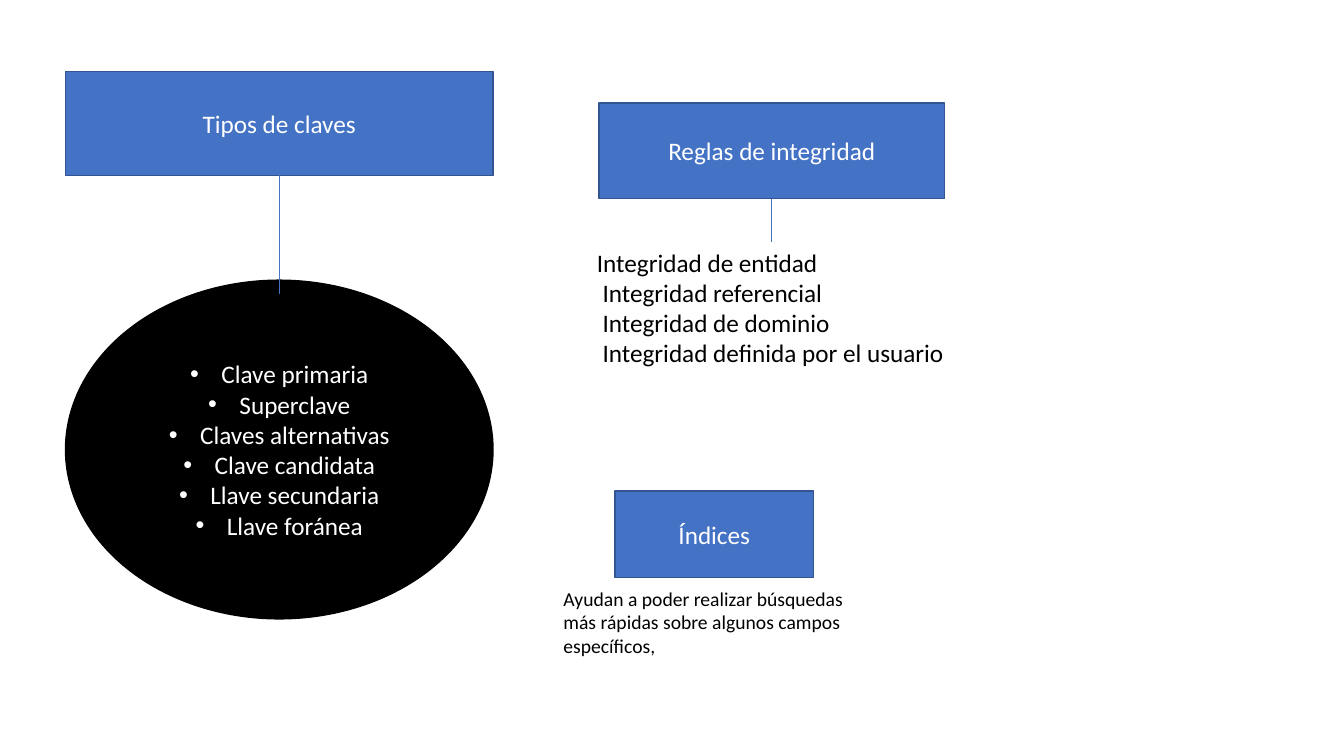
from dataclasses import dataclass

from lxml.etree import SubElement
from pptx import Presentation
from pptx.dml.color import RGBColor
from pptx.enum.shapes import MSO_CONNECTOR, MSO_SHAPE
from pptx.enum.text import MSO_ANCHOR, MSO_AUTO_SIZE, PP_ALIGN
from pptx.oxml.ns import qn
from pptx.util import Pt

PX = 9144  # EMU per px, 100 px to the inch
TOP, BOTTOM = 0, 2


@dataclass(frozen=True)
class Theme:
    font: str = "Calibri"
    blue: RGBColor = RGBColor(0x44, 0x72, 0xC4)
    edge: RGBColor = RGBColor(0x32, 0x54, 0x91)
    black: RGBColor = RGBColor(0, 0, 0)
    white: RGBColor = RGBColor(255, 255, 255)
    main: int = 18
    note: int = 14


THEME = Theme()

KEYS = ["Clave primaria", "Superclave", "Claves alternativas",
        "Clave candidata", "Llave secundaria", "Llave foránea"]
RULES = ["Integridad de entidad", " Integridad referencial",
         " Integridad de dominio", " Integridad definida por el usuario"]
NOTE = ("Ayudan a poder realizar búsquedas más rápidas "
        "sobre algunos campos específicos,")


def emu(*sizes):
    return [size * PX for size in sizes]


def write(shape, lines, color, size=THEME.main, align=PP_ALIGN.LEFT):
    frame = shape.text_frame
    frame.text = "\n".join(lines)
    frame.word_wrap = True
    for para in frame.paragraphs:
        para.alignment = align
        for run in para.runs:
            run.font.name = THEME.font
            run.font.size = Pt(size)
            run.font.color.rgb = color


def bullet(para, mark=None, indent=0):
    """Give the paragraph a hanging bullet, or none if there is no mark."""
    props = para._p.get_or_add_pPr()
    props.set("marL", str(indent * PX))
    props.set("indent", str(-indent * PX))
    if mark:
        SubElement(props, qn("a:buFont")).set("typeface", "Arial")
        SubElement(props, qn("a:buChar")).set("char", mark)
    else:
        SubElement(props, qn("a:buNone"))


def add_node(slide, kind, box, lines, fill, edge):
    node = slide.shapes.add_shape(kind, *emu(*box))
    node.shadow.inherit = False
    node.fill.solid()
    node.fill.fore_color.rgb = fill
    node.line.color.rgb = edge
    node.line.width = Pt(1)
    node.text_frame.vertical_anchor = MSO_ANCHOR.MIDDLE
    write(node, lines, THEME.white, align=PP_ALIGN.CENTER)
    return node


def add_head(slide, box, text):
    return add_node(slide, MSO_SHAPE.RECTANGLE, box, [text],
                    THEME.blue, THEME.edge)


def add_keys(slide, box):
    oval = add_node(slide, MSO_SHAPE.OVAL, box, KEYS,
                    THEME.black, THEME.black)
    for para in oval.text_frame.paragraphs:
        bullet(para, "•", 31)


def fill_body(body, box, lines):
    body.left, body.top, body.width, body.height = emu(*box)
    write(body, lines, THEME.black)
    body.text_frame.auto_size = MSO_AUTO_SIZE.NONE
    body.text_frame.vertical_anchor = MSO_ANCHOR.TOP
    for para in body.text_frame.paragraphs:
        para.space_before = Pt(0)
        para.line_spacing = 1.0
        bullet(para)


def add_note(slide, box, text):
    note = slide.shapes.add_textbox(*emu(*box))
    write(note, [text], THEME.black, THEME.note)


def add_link(slide, start, stop):
    link = slide.shapes.add_connector(MSO_CONNECTOR.STRAIGHT,
                                      *emu(*start, *stop))
    link.line.color.rgb = THEME.blue
    link.line.width = Pt(0.5)
    SubElement(link._element.spPr, qn("a:effectLst"))
    return link


def main():
    deck = Presentation()
    deck.slide_width, deck.slide_height = emu(1333, 750)
    slide = deck.slides.add_slide(deck.slide_layouts[1])
    title = slide.shapes.title._element
    title.getparent().remove(title)
    body = slide.placeholders[1]

    types = add_head(slide, (65, 71, 424, 103), "Tipos de claves")
    add_keys(slide, (65, 278, 424, 336))
    link = add_link(slide, (277, 174), (277, 292))
    link.begin_connect(types, BOTTOM)

    rules = add_head(slide, (594, 102, 343, 95), "Reglas de integridad")
    fill_body(body, (582, 240, 367, 131), RULES)
    link = add_link(slide, (766, 240), (766, 197))
    link.begin_connect(body, TOP)
    link.end_connect(rules, BOTTOM)

    add_head(slide, (610, 487, 197, 86), "Índices")
    add_note(slide, (549, 577, 320, 81), NOTE)

    deck.save("out.pptx")


if __name__ == "__main__":
    main()
